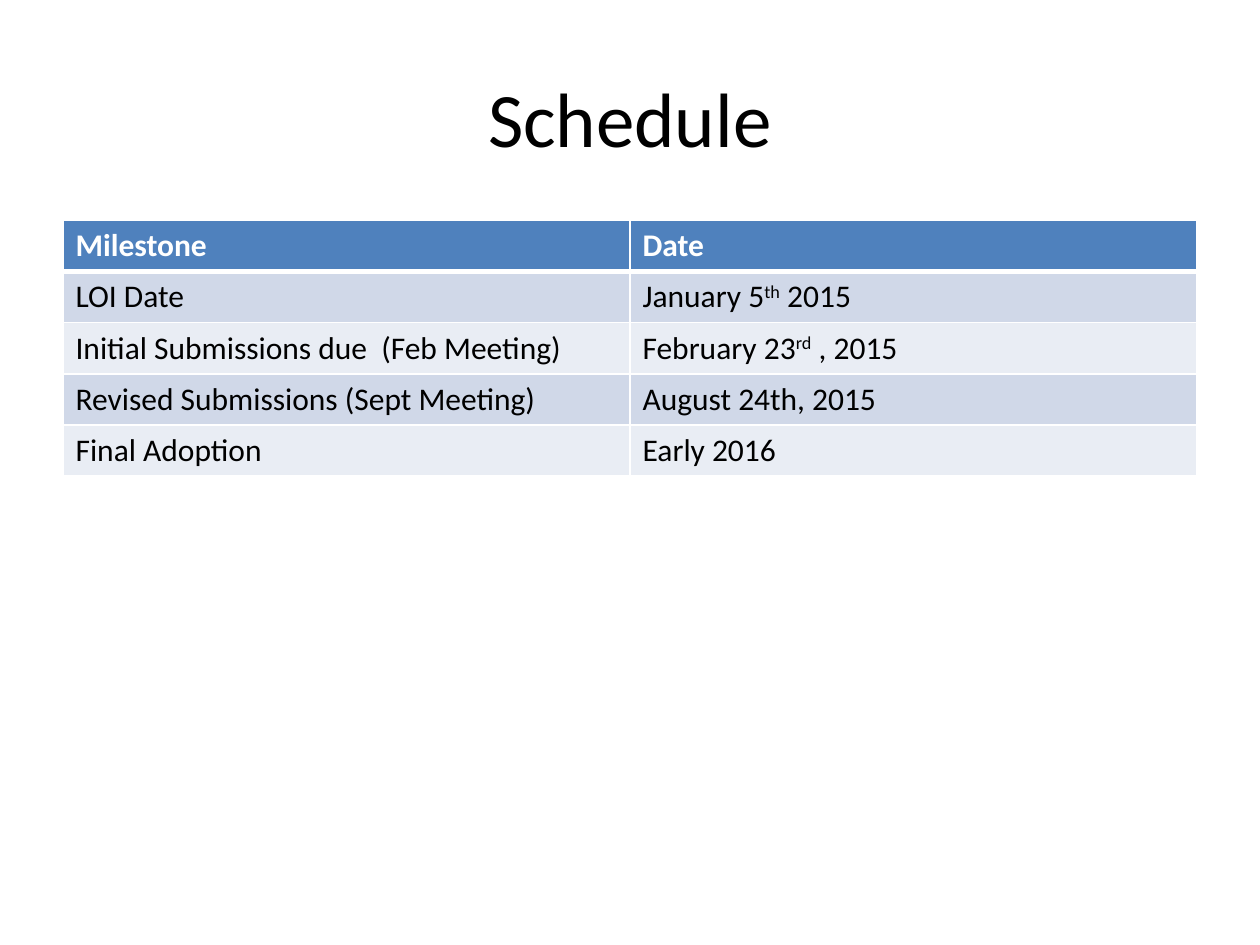
from dataclasses import dataclass

from lxml import etree
from pptx import Presentation
from pptx.dml.color import RGBColor
from pptx.enum import text
from pptx.oxml import ns
from pptx.util import Pt


@dataclass(frozen=True)
class Theme:
    font: str = "Calibri"
    title_size: int = 44
    table_size: int = 18
    black: str = "000000"
    white: str = "FFFFFF"
    header: str = "4F81BD"
    bands: tuple = ("D0D8E8", "E9EDF4")


theme = Theme()


def write(frame, parts, size, color=theme.black, bold=False, align=None):
    """Write the parts as runs; every second part is superscript."""
    paragraph = frame.paragraphs[0]
    paragraph.alignment = align
    for index, part in enumerate(parts):
        run = paragraph.add_run()
        run.text = part
        run.font.name = theme.font
        run.font.size = Pt(size)
        run.font.bold = bold
        run.font.color.rgb = RGBColor.from_string(color)
        if index % 2:
            run._r.get_or_add_rPr().set("baseline", "30000")


def add_borders(cell, widths):
    """Draw white lines on the cell sides, in the order left, right, top, bottom."""
    properties = cell._tc.get_or_add_tcPr()
    for side, width in zip("LRTB", widths):
        line = etree.SubElement(properties, ns.qn(f"a:ln{side}"), w=str(Pt(width)))
        fill = etree.SubElement(line, ns.qn("a:solidFill"))
        etree.SubElement(fill, ns.qn("a:srgbClr"), val=theme.white)


presentation = Presentation()
presentation.slide_width = Pt(720)
presentation.slide_height = Pt(540)
slide = presentation.slides.add_slide(presentation.slide_layouts[6])

# Title
title = slide.shapes.add_textbox(Pt(36), Pt(21.6), Pt(648), Pt(90)).text_frame
title.word_wrap = True
title.vertical_anchor = text.MSO_ANCHOR.MIDDLE
write(title, ["Schedule"], theme.title_size, align=text.PP_ALIGN.CENTER)

# Schedule table
milestones = [
    (["Milestone"], ["Date"]),
    (["LOI Date"], ["January 5", "th", " 2015"]),
    (["Initial Submissions due  (Feb Meeting)"], ["February 23", "rd", " , 2015"]),
    (["Revised Submissions (Sept Meeting)"], ["August 24th, 2015"]),
    (["Final Adoption"], ["Early 2016"]),
]
row_height = 29.2
table = slide.shapes.add_table(
    len(milestones), 2, Pt(36), Pt(126), Pt(648), Pt(row_height * len(milestones))
).table

for row, entries in enumerate(milestones):
    table.rows[row].height = Pt(row_height)
    is_header = row == 0
    fill_color = theme.header if is_header else theme.bands[(row - 1) % 2]
    for column, parts in enumerate(entries):
        cell = table.cell(row, column)
        # The line under the header is heavier than the others
        add_borders(cell, (1, 1, 3 if row == 1 else 1, 3 if is_header else 1))
        cell.fill.solid()
        cell.fill.fore_color.rgb = RGBColor.from_string(fill_color)
        write(cell.text_frame, parts, theme.table_size, bold=is_header,
              color=theme.white if is_header else theme.black)

presentation.save("out.pptx")
